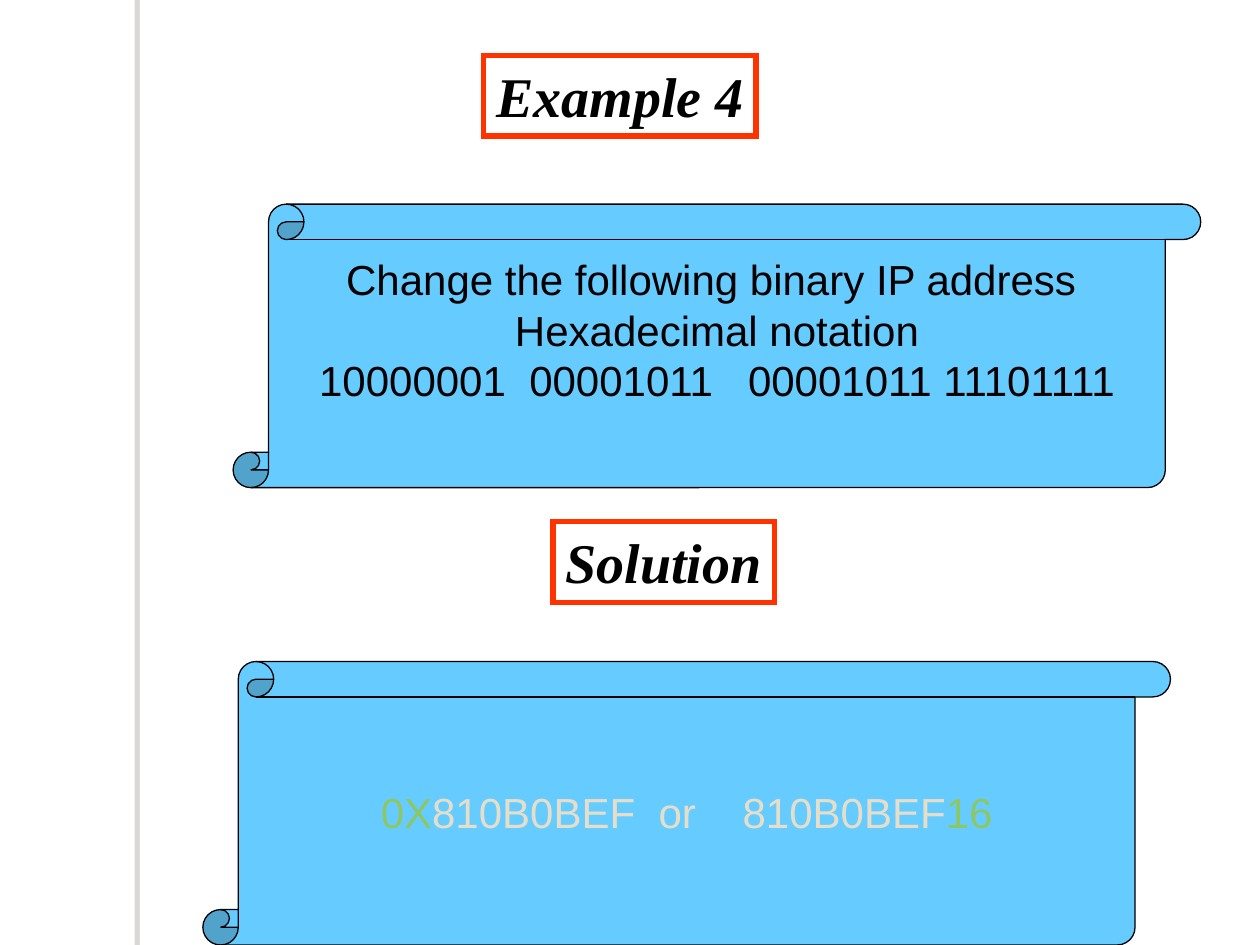
from lxml.etree import SubElement
from pptx import Presentation
from pptx.dml.color import RGBColor
from pptx.enum.shapes import MSO_SHAPE
from pptx.enum.text import MSO_ANCHOR, MSO_AUTO_SIZE, PP_ALIGN
from pptx.oxml.ns import qn
from pptx.util import Inches, Pt

WHITE = RGBColor(0xFF, 0xFF, 0xFF)
BLACK = RGBColor(0, 0, 0)
RED = RGBColor(0xFF, 0x33, 0x00)
SKY = RGBColor(0x66, 0xCC, 0xFF)
GREEN = RGBColor(0x8D, 0xC7, 0x65)
CREAM = RGBColor(0xE7, 0xDE, 0xC9)
SCROLL_SIZE = (7.68, 2.25)
SPACE_WIDTH = 6.67  # points, for Arial at 24 points


def place(shape, left, top, width, height):
    shape.left, shape.top = Inches(left), Inches(top)
    shape.width, shape.height = Inches(width), Inches(height)


def paint(shape, fill, line=None, line_width=0.75):
    shape.fill.solid()
    shape.fill.fore_color.rgb = fill
    if line is None:
        shape.line.fill.background()
    else:
        shape.line.color.rgb = line
        shape.line.width = Pt(line_width)
        outline = shape._element.spPr.find(qn("a:ln"))
        SubElement(outline, qn("a:miter"), lim="800000")


def add_text(para, text, size=24, font="Arial", color=BLACK, bold=False,
             italic=False, spacing=0):
    """Append a run; spacing is the extra points after each letter."""
    span = para.add_run()
    span.text = text
    span.font.size = Pt(size)
    span.font.name = font
    span.font.color.rgb = color
    span.font.bold = bold
    span.font.italic = italic
    if spacing:
        span._r.get_or_add_rPr().set("spc", str(round(spacing * 100)))


def add_gap(para, spaces, **style):
    """Append one space stretched to the width of several."""
    add_text(para, " ", spacing=(spaces - 1) * SPACE_WIDTH, **style)


def set_frame(shape, anchor, right=0.1, bottom=0.05):
    frame = shape.text_frame
    frame.word_wrap = False
    frame.auto_size = MSO_AUTO_SIZE.NONE
    frame.vertical_anchor = anchor
    frame.margin_left, frame.margin_right = Inches(0.1), Inches(right)
    frame.margin_top, frame.margin_bottom = Inches(0.05), Inches(bottom)
    return frame


def add_side_bar(page, left, top, width, height):
    bar = page.shapes.add_shape(MSO_SHAPE.RECTANGLE, 0, 0, 0, 0)
    place(bar, left, top, width, height)
    paint(bar, WHITE)
    bar.shadow.inherit = False
    effects = bar._element.spPr.find(qn("a:effectLst"))
    shadow = SubElement(effects, qn("a:outerShdw"), blurRad="0",
                        dist=str(Pt(3)), dir="10800000", rotWithShape="0")
    color = SubElement(shadow, qn("a:srgbClr"), val="706B5F")
    SubElement(color, qn("a:alpha"), val="25000")


def format_heading(box, text, left, top, width, height=0.64, right=0.1):
    place(box, left, top, width, height)
    paint(box, WHITE, RED, 3)
    para = set_frame(box, MSO_ANCHOR.TOP, right=right).paragraphs[0]
    para.alignment = PP_ALIGN.LEFT
    add_text(para, text, size=32, font="Times New Roman", bold=True, italic=True)


def add_scroll(page, left, top, lines, bottom=0.05):
    """Draw a scroll and return its empty, centred paragraphs."""
    scroll = page.shapes.add_shape(MSO_SHAPE.VERTICAL_SCROLL, 0, 0, 0, 0)
    place(scroll, left, top, *SCROLL_SIZE)
    paint(scroll, SKY, BLACK)
    scroll.shadow.inherit = False
    frame = set_frame(scroll, MSO_ANCHOR.MIDDLE, bottom=bottom)
    for _ in range(lines - 1):
        frame.add_paragraph()
    for para in frame.paragraphs:
        para.alignment = PP_ALIGN.CENTER
    return frame.paragraphs


def add_question(page, left, top):
    first, second, address = add_scroll(page, left, top, 3, bottom=0.45)
    add_text(first, "Change the following binary IP address ")
    add_text(second, "Hexadecimal notation")
    add_text(address, "10000001")
    add_gap(address, 2)
    add_text(address, "00001011")
    add_gap(address, 3)
    add_text(address, "00001011 11101111")


def add_answer(page, left, top):
    (para,) = add_scroll(page, left, top, 1)
    add_text(para, "0X", color=GREEN)
    add_text(para, "810B0BEF", color=CREAM)
    add_gap(para, 2, color=CREAM)
    add_text(para, "or", color=CREAM)
    add_gap(para, 4, color=CREAM)
    add_text(para, "810B0BEF", color=CREAM)
    add_text(para, "16", color=GREEN)


def main():
    deck = Presentation()
    deck.slide_width, deck.slide_height = Inches(10), Inches(7.5)
    page = deck.slides.add_slide(deck.slide_layouts[5])
    add_side_bar(page, 1.11, 0, 0.08, 7.5)
    # A title placeholder always wraps, so its line needs the right margin too.
    format_heading(page.shapes.title, "Example 4", 3.84, 0.44, 2.16, right=0)
    solution = page.shapes.add_textbox(0, 0, 0, 0)
    format_heading(solution, "Solution", 4.39, 4.14, 1.76)
    add_question(page, 1.85, 1.62)
    add_answer(page, 1.61, 5.25)
    deck.save("out.pptx")


if __name__ == "__main__":
    main()
